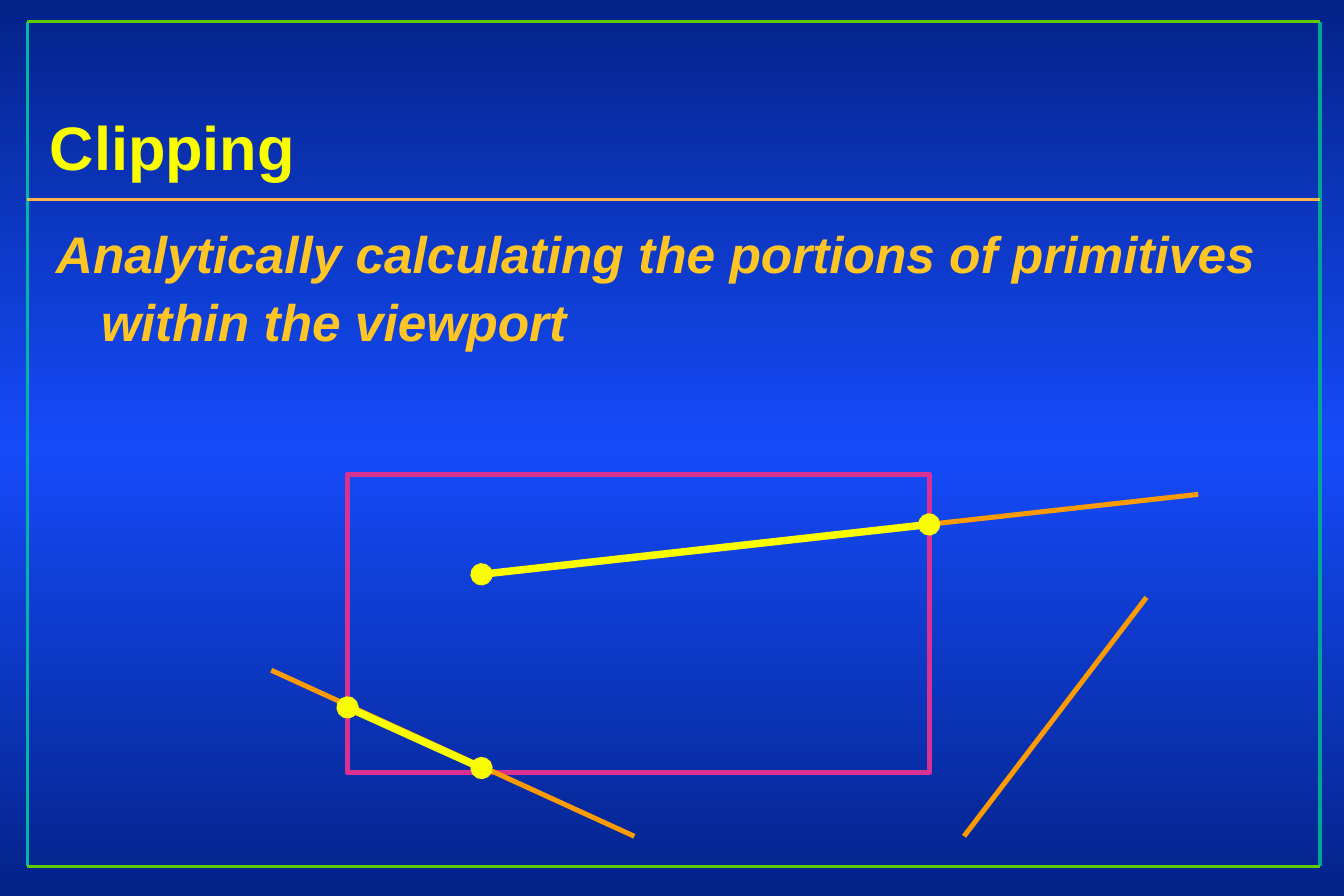
from copy import deepcopy

from lxml import etree
from pptx import Presentation
from pptx.dml.color import RGBColor
from pptx.enum.shapes import MSO_CONNECTOR, MSO_SHAPE
from pptx.enum.text import MSO_ANCHOR
from pptx.oxml.ns import qn
from pptx.util import Cm, Pt

LINE = MSO_CONNECTOR.STRAIGHT
RECT = MSO_SHAPE.RECTANGLE
TOP, BOTTOM = MSO_ANCHOR.TOP, MSO_ANCHOR.BOTTOM

COLORS = {
    "edge": "032389", "mid": "154BF9",
    "left": "00B7A5", "right": "00A494", "bar": "60C900", "rule": "FFB549",
    "title": "FAFD00", "body": "FEC524", "shade": "000000",
    "view": "D93192", "line": "FE9B03", "clip": "FAFD00",
}


def color(name):
    return RGBColor.from_string(COLORS[name])


def add_line(slide, start, end, name, width, dots=False):
    """Draw a line between two points in cm, with round dots at its ends if asked."""
    line = slide.shapes.add_connector(LINE, *map(Cm, start + end))
    line.line.color.rgb = color(name)
    line.line.width = Pt(width)
    props = line._element.spPr
    if dots:
        for tag in ("a:headEnd", "a:tailEnd"):
            etree.SubElement(props.find(qn("a:ln")), qn(tag), type="oval")
    etree.SubElement(props, qn("a:effectLst"))


def add_text(slide, box, text, name, size, spacing, anchor):
    frame = slide.shapes.add_textbox(*map(Cm, box)).text_frame
    frame.word_wrap = True
    frame.vertical_anchor = anchor
    para = frame.paragraphs[0]
    para.text = text
    para.line_spacing = spacing
    font = para.font
    font.name, font.size, font.bold = "Arial", Pt(size), True
    font.color.rgb = color(name)
    return para


def add_back(slide):
    fill = slide.background.fill
    fill.gradient()
    fill.gradient_angle = 270
    stops = slide._element.find(".//" + qn("a:gsLst"))
    stops.append(deepcopy(stops[0]))
    for stop, name, place in zip(fill.gradient_stops, ("edge", "mid", "edge"), (0, 0.5, 1)):
        stop.color.rgb = color(name)
        stop.position = place


def add_frame(slide, left, top, width, height):
    """Draw the border and the rule under the title."""
    right, low = left + width, top + height
    for x, name in ((right, "right"), (left, "left")):
        add_line(slide, (x, top), (x, low), name, 2)
    for y, name in ((low, "bar"), (top, "bar"), (top + 3.78, "rule")):
        add_line(slide, (left, y), (right, y), name, 2)


def add_title(slide, box):
    add_text(slide, box, "Clipping", "title", 37, 1.04, BOTTOM)


def add_body(slide, box):
    """Write the definition with a hanging indent and a text shadow."""
    text = "Analytically calculating the portions of primitives within the viewport"
    para = add_text(slide, box, text, "body", 31, 1.1, TOP)
    para.font.italic = True
    para.space_after = Pt(6)
    props = para._p.get_or_add_pPr()
    props.set("marL", str(Cm(0.96)))
    props.set("indent", str(Cm(-0.96)))
    effects = etree.SubElement(para.runs[0]._r.get_or_add_rPr(), qn("a:effectLst"))
    shade = etree.SubElement(effects, qn("a:outerShdw"), dist=str(Pt(3)), dir="2700000")
    etree.SubElement(shade, qn("a:srgbClr"), val=COLORS["shade"])


def add_view(slide, left, top, width, height):
    """Draw the viewport, the full lines and their visible parts."""
    view = slide.shapes.add_shape(RECT, *map(Cm, (left, top, width, height)))
    view.shadow.inherit = False
    view.fill.background()
    view.line.color.rgb = color("view")
    view.line.width = Pt(3)

    def draw(pairs, *style):
        for start, end in pairs:
            ends = [(left + x, top + y) for x, y in (start, end)]
            add_line(slide, *ends, *style)

    inner = (2.85, 2.13)
    draw([(inner, (18.09, 0.43)),
          ((-1.62, 4.17), (6.1, 7.7)),
          ((13.11, 7.7), (16.99, 2.62))], "line", 3)
    draw([(inner, (width, 1.07)),
          ((0, 4.96), (2.85, 6.25))], "clip", 4.5, True)


def main():
    deck = Presentation()
    deck.slide_width, deck.slide_height = Cm(28.58), Cm(19.05)
    slide = deck.slides.add_slide(deck.slide_layouts[6])
    add_back(slide)
    add_frame(slide, 0.58, 0.46, 27.49, 17.96)
    add_title(slide, (0.81, 0.84, 23.11, 3.18))
    add_body(slide, (0.94, 4.47, 26.77, 12.5))
    add_view(slide, 7.39, 10.08, 12.37, 6.35)
    deck.save("out.pptx")


if __name__ == "__main__":
    main()
